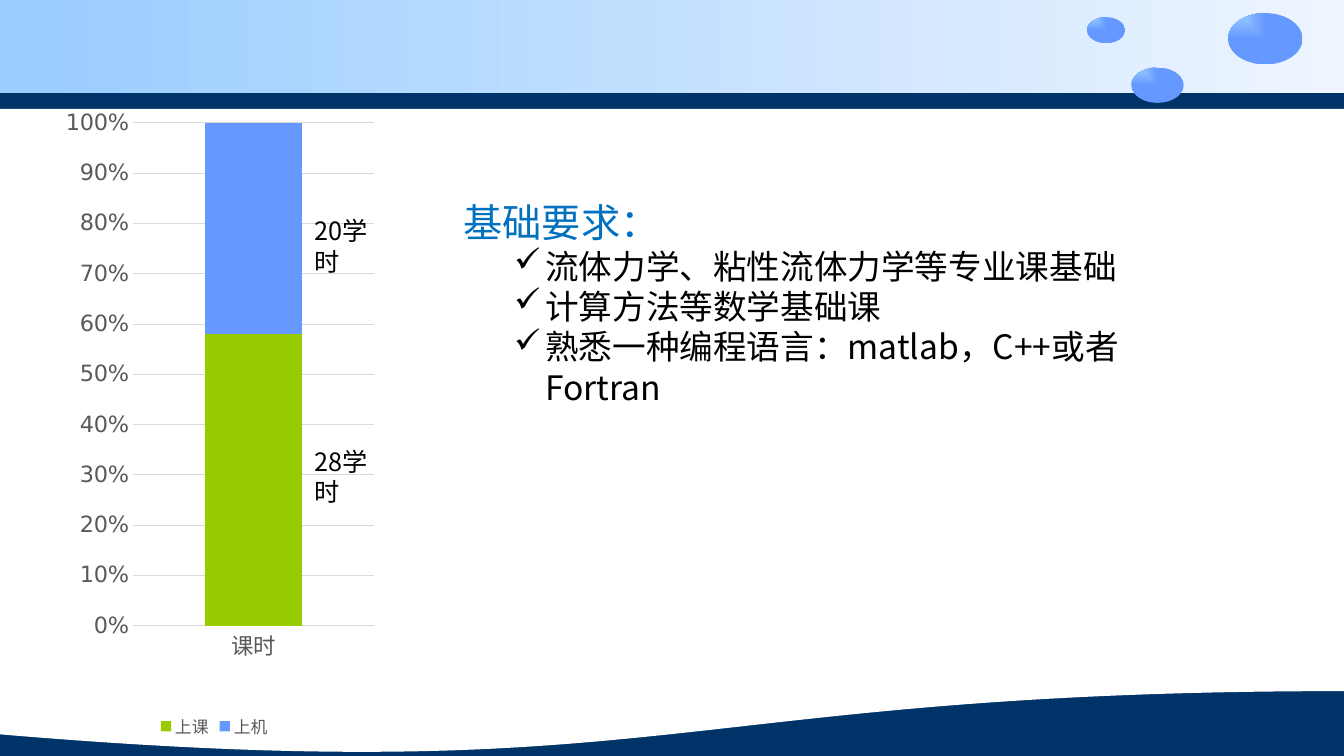
from lxml import etree
from pptx import Presentation
from pptx.chart.data import CategoryChartData
from pptx.dml.color import RGBColor
from pptx.enum.chart import XL_CHART_TYPE as ChartType, XL_LEGEND_POSITION as LegendPosition
from pptx.enum.chart import XL_TICK_MARK as TickMark
from pptx.enum.shapes import MSO_SHAPE as Shape
from pptx.oxml import parse_xml
from pptx.oxml.ns import nsdecls, qn
from pptx.util import Inches, Pt

# Content
HEADING = "基础要求："
REQUIREMENTS = [
    "流体力学、粘性流体力学等专业课基础",
    "计算方法等数学基础课",
    "熟悉一种编程语言：matlab，C++或者Fortran",
]
CATEGORY = "课时"
SERIES = [("上课", 58, "green"), ("上机", 42, "blue")]
HOUR_LABELS = [("28学时", 4.38), ("20学时", 2.09)]

# Style
COLORS = {
    "navy": "003468", "white": "FFFFFF", "sky": "99CCFF", "pale": "EEF5FF",
    "blue": "6699FF", "green": "99CC00", "heading": "0070C0", "black": "000000",
    "axis": "595959", "grid": "D9D9D9",
}
TEXT_FONT, CHART_FONT = "Noto Sans CJK SC", "DejaVu Sans"

# Geometry: left, top, width, height
WIDTH, HEIGHT = 13.33, 7.5
BUBBLES = [(10.78, 0.17, 0.38, 0.26), (11.22, 0.67, 0.52, 0.35), (12.18, 0.13, 0.74, 0.51)]
TEXT_AREA = (4.5, 1.92, 6.81, 2.66)
CHART_AREA = (0.37, 0.99, 3.51, 6.38)
PLOT_SHARES = {"x": 0.27, "y": 0.036, "w": 0.682, "h": 0.782}


def color(name):
    return RGBColor.from_string(COLORS[name])


def inches(area):
    return [Inches(length) for length in area]


def add_panel(page, kind, area, *fill_colors, radial=False):
    panel = page.shapes.add_shape(kind, *inches(area))
    panel.shadow.inherit = False
    panel.line.fill.background()
    fill = panel.fill
    if len(fill_colors) == 1:
        fill.solid()
        fill.fore_color.rgb = color(fill_colors[0])
        return
    fill.gradient()
    fill.gradient_angle = 0
    for stop, name in zip(fill.gradient_stops, fill_colors):
        stop.color.rgb = color(name)
    if radial:
        linear = next(panel.element.iter(qn("a:lin")))
        linear.getparent().replace(linear, parse_xml(
            f'<a:path {nsdecls("a")} path="rect"><a:fillToRect r="100000" b="100000"/></a:path>'))


def write(para, text, size=18, tint="black", bullet=None, margin=0.81, hang=0.31):
    if bullet:
        para.level = 1
        props = para._p.get_or_add_pPr()
        props.set("marL", str(Inches(margin)))
        props.set("indent", str(-Inches(hang)))
        etree.SubElement(props, qn("a:buChar")).set("char", bullet)
    span = para.add_run()
    span.text = text
    span.font.size = Pt(size)
    span.font.name = TEXT_FONT
    span.font.color.rgb = color(tint)
    etree.SubElement(span._r.get_or_add_rPr(), qn("a:ea")).set("typeface", TEXT_FONT)


def add_text_frame(page, area):
    frame = page.shapes.add_textbox(*inches(area)).text_frame
    frame.word_wrap = True
    return frame


def set_font(font, size, tint):
    font.name = CHART_FONT
    font.size = Pt(size)
    font.color.rgb = color(tint)


def add_hours_chart(page):
    data = CategoryChartData()
    data.categories = [CATEGORY]
    for name, value, _ in SERIES:
        data.add_series(name, [value])
    chart = page.shapes.add_chart(
        ChartType.COLUMN_STACKED_100, *inches(CHART_AREA), data).chart
    set_font(chart.font, 10, "black")
    chart.has_title = False

    plot = chart.plots[0]
    plot.gap_width, plot.overlap = 150, 100
    plot.vary_by_categories = False
    for series, (_, _, tint) in zip(plot.series, SERIES):
        series.format.fill.solid()
        series.format.fill.fore_color.rgb = color(tint)

    values, categories = chart.value_axis, chart.category_axis
    for axis in (values, categories):
        axis.major_tick_mark = axis.minor_tick_mark = TickMark.NONE
        set_font(axis.tick_labels.font, 16, "axis")
    values.minimum_scale, values.maximum_scale, values.major_unit = 0, 1, 0.1
    values.tick_labels.number_format = "0%"
    values.tick_labels.number_format_is_linked = False
    values.format.line.fill.background()
    values.has_major_gridlines = True
    for line in (values.major_gridlines.format.line, categories.format.line):
        line.color.rgb = color("grid")
        line.width = Pt(0.75)

    chart.has_legend = True
    chart.legend.position = LegendPosition.BOTTOM
    chart.legend.include_in_layout = False
    set_font(chart.legend.font, 12, "axis")

    # Fixed inner plot area
    modes = "".join(f'<c:{side}Mode val="edge"/>' for side in "xy")
    shares = "".join(f'<c:{side} val="{share}"/>' for side, share in PLOT_SHARES.items())
    layout = parse_xml(
        f'<c:layout {nsdecls("c")}><c:manualLayout><c:layoutTarget val="inner"/>'
        f'{modes}{shares}</c:manualLayout></c:layout>')
    plot_area = next(chart.element.iter(qn("c:plotArea")))
    for old in plot_area.findall(qn("c:layout")):
        plot_area.remove(old)
    plot_area.insert(0, layout)


def main():
    deck = Presentation()
    deck.slide_width, deck.slide_height = Inches(WIDTH), Inches(HEIGHT)
    page = deck.slides.add_slide(deck.slide_layouts[6])

    # Backdrop
    page.background.fill.solid()
    page.background.fill.fore_color.rgb = color("navy")
    add_panel(page, Shape.RECTANGLE, (0, 0, WIDTH, 0.92), "sky", "pale")
    add_panel(page, Shape.RECTANGLE, (0, 1.08, WIDTH, 4), "white")
    add_panel(page, Shape.FLOWCHART_DOCUMENT, (0, 4.25, WIDTH, HEIGHT - 4.25), "white")
    for bubble in BUBBLES:
        add_panel(page, Shape.OVAL, bubble, "sky", "blue", radial=True)

    # Requirements
    frame = add_text_frame(page, TEXT_AREA)
    write(frame.paragraphs[0], HEADING, size=28, tint="heading")
    for requirement in REQUIREMENTS:
        write(frame.add_paragraph(), requirement, size=24, bullet="✓")

    # Class hours
    add_hours_chart(page)
    for label, top in HOUR_LABELS:
        write(add_text_frame(page, (3.02, top, 0.96, 0.4)).paragraphs[0], label)

    deck.save("out.pptx")


if __name__ == "__main__":
    main()
